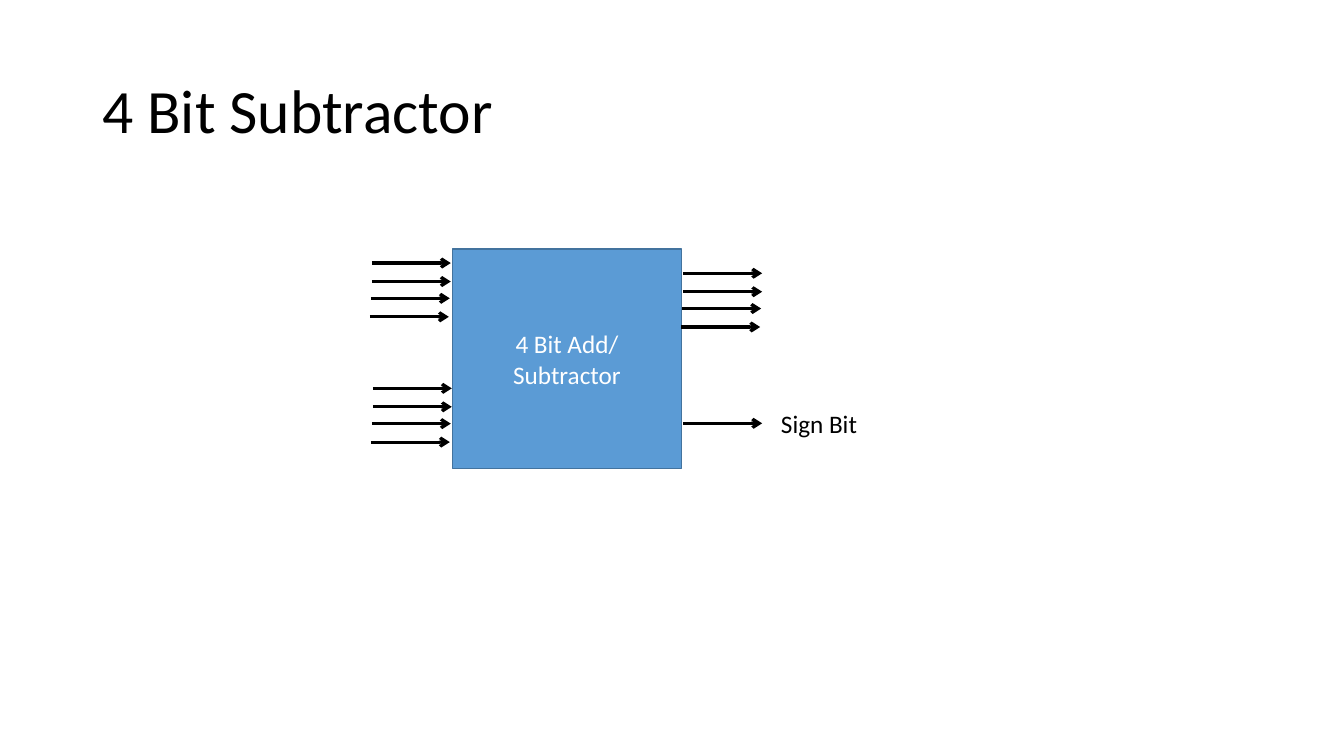
from lxml import etree
from pptx import Presentation
from pptx.dml.color import RGBColor
from pptx.enum.shapes import MSO_CONNECTOR, MSO_SHAPE
from pptx.enum.text import MSO_ANCHOR, PP_ALIGN
from pptx.oxml.ns import qn
from pptx.util import Pt

STRAIGHT = MSO_CONNECTOR.STRAIGHT
RECTANGLE = MSO_SHAPE.RECTANGLE
MIDDLE = MSO_ANCHOR.MIDDLE
LEFT, CENTER = PP_ALIGN.LEFT, PP_ALIGN.CENTER

COLORS = {"ink": "000000", "block": "5B9BD5", "edge": "43739E", "light": "FFFFFF"}
FONT = "Calibri"
ARROW_LENGTH = 56.3
BUS_STEPS = [(0, 0), (0, 13.2), (-0.7, 25.2), (-1.4, 38.4)]


def color(name):
    return RGBColor.from_string(COLORS[name])


def write(shape, text, size, ink, align):
    frame = shape.text_frame
    frame.text = text
    for para in frame.paragraphs:
        para.alignment = align
        for span in para.runs:
            span.font.name = FONT
            span.font.size = Pt(size)
            span.font.color.rgb = color(ink)


def add_title(page, left, top, width, height):
    title = page.shapes.title
    title.left, title.top, title.width, title.height = map(Pt, (left, top, width, height))
    write(title, "4 Bit Subtractor", 44, "ink", LEFT)
    title.text_frame.vertical_anchor = MIDDLE
    title.text_frame.paragraphs[0].line_spacing = 0.9


def add_signal(page, left, top):
    arrow = page.shapes.add_connector(
        STRAIGHT, Pt(left), Pt(top), Pt(left + ARROW_LENGTH), Pt(top))
    arrow.line.color.rgb = color("ink")
    arrow.line.width = Pt(2.25)
    etree.SubElement(arrow.line._get_or_add_ln(), qn("a:tailEnd"), type="arrow")
    etree.SubElement(arrow._element.spPr, qn("a:effectLst"))


def add_bus(page, left, top):
    for across, down in BUS_STEPS:
        add_signal(page, left + across, top + down)


def add_label(page, text, left, top, width, height):
    label = page.shapes.add_textbox(Pt(left), Pt(top), Pt(width), Pt(height))
    label.text_frame.word_wrap = False
    write(label, text, 18, "ink", LEFT)


def add_circuit(page, left, top, width, height):
    block = page.shapes.add_shape(RECTANGLE, Pt(left), Pt(top), Pt(width), Pt(height))
    block.shadow.inherit = False
    block.fill.solid()
    block.fill.fore_color.rgb = color("block")
    block.line.color.rgb = color("edge")
    block.line.width = Pt(1)
    write(block, "4 Bit Add/\nSubtractor", 18, "light", CENTER)
    block.text_frame.vertical_anchor = MIDDLE

    output_left = left + width + 1.4
    add_bus(page, left - 57.6, top + 10.1)
    add_bus(page, left - 56.9, top + 99.6)
    add_bus(page, output_left, top + 17.4)
    add_signal(page, output_left, top + 124.6)
    add_label(page, "Sign Bit", output_left + 62.7, top + 110.2, 69.1, 29)


def main():
    deck = Presentation()
    deck.slide_width, deck.slide_height = Pt(960), Pt(540)
    page = deck.slides.add_slide(deck.slide_layouts[5])
    add_title(page, 66, 28.75, 828, 104.4)
    add_circuit(page, 323.3, 177.8, 163.4, 157)
    deck.save("out.pptx")


if __name__ == "__main__":
    main()
